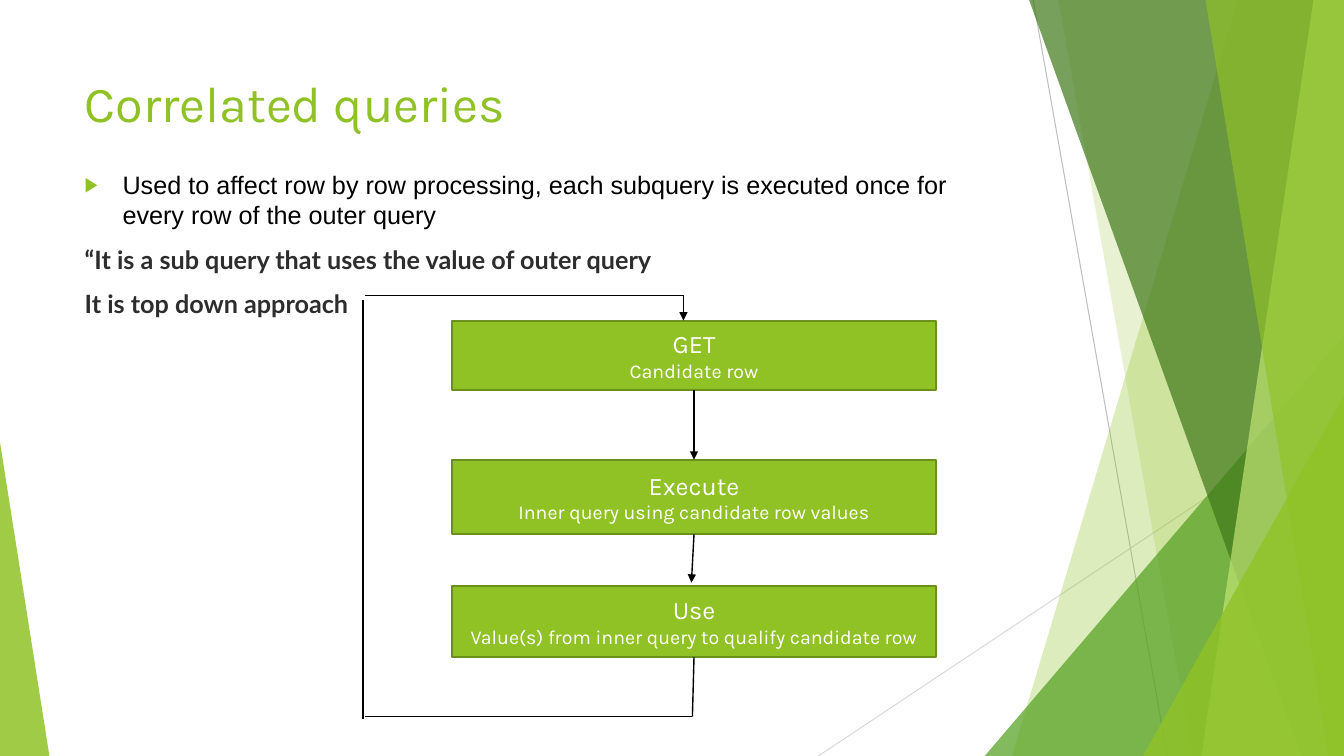
from lxml.etree import SubElement
from pptx import Presentation
from pptx.dml.color import RGBColor
from pptx.enum.shapes import MSO_CONNECTOR, MSO_SHAPE
from pptx.enum.text import MSO_ANCHOR, MSO_AUTO_SIZE, PP_ALIGN
from pptx.oxml.ns import qn
from pptx.util import Pt


class Theme:
    lime, green, forest, pale = "90C226", "54A021", "3F7819", "C0E474"
    border, white, black, ink = "6B901C", "FFFFFF", "000000", "2D2D2D"
    ray_dark, ray_light = "BFBFBF", "D9D9D9"
    display, plain, strong = "Karla", "Arial", "Lato"
    title_size, text_size, detail_size = 36, 18, 14


def set_font(font, name, size, color, bold=False):
    font.name, font.size, font.bold = name, Pt(size), bold
    font.color.rgb = RGBColor.from_string(color)


def add_line(start, end, color=Theme.black, width=1, arrow=False):
    line = slide.shapes.add_connector(
        MSO_CONNECTOR.STRAIGHT, *[Pt(value) for value in (*start, *end)])
    line.line.color.rgb = RGBColor.from_string(color)
    line.line.width = Pt(width)
    if arrow:
        SubElement(line.line._get_or_add_ln(), qn("a:tailEnd"), type="triangle")
    SubElement(line._element.spPr, qn("a:effectLst"))
    return line


deck = Presentation()
deck.slide_width, deck.slide_height = Pt(960), Pt(540)
slide = deck.slides.add_slide(deck.slide_layouts[1])

# Background rays
add_line((738, 0), (833.8, 540), Theme.ray_dark, 0.75)
add_line((960, 290), (584.6, 540), Theme.ray_light, 0.75)

# Background facets: panels (top x, bottom x) reach the right edge,
# triangles (left, top, width, apex) stand on the bottom edge
facets = [
    ("panel", (884.2, 722.9), Theme.lime, 30),
    ("panel", (756, 851.8), Theme.lime, 20),
    ("triangle", (703.4, 239.8, 256.6, 1), Theme.green, 72),
    ("panel", (735.1, 929.5), Theme.forest, 70),
    ("panel", (938.2, 858.2), Theme.pale, 70),
    ("panel", (861.1, 949), Theme.lime, 65),
    ("triangle", (816.5, 283, 143.5, 1), Theme.lime, 80),
    ("triangle", (0, 316, 35.3, 0), Theme.lime, 85),
]
for kind, geometry, color, opacity in facets:
    if kind == "panel":
        top_x, bottom_x = geometry
        outline = slide.shapes.build_freeform(Pt(top_x), 0)
        outline.add_line_segments(
            [(Pt(x), Pt(y)) for x, y in ((960, 0), (960, 540), (bottom_x, 540))])
        facet = outline.convert_to_shape()
    else:
        left, top, width, apex = geometry
        facet = slide.shapes.add_shape(
            MSO_SHAPE.ISOSCELES_TRIANGLE, Pt(left), Pt(top), Pt(width), Pt(540 - top))
        facet.adjustments[0] = apex
    facet.shadow.inherit = False
    facet.line.fill.background()
    facet.fill.solid()
    facet.fill.fore_color.rgb = RGBColor.from_string(color)
    fill_color = facet._element.spPr.find(qn("a:solidFill"))[0]
    SubElement(fill_color, qn("a:alpha"), val=str(opacity * 1000))

# Title and body placeholders
title, body = slide.shapes.title, slide.placeholders[1]
for holder, top, height in ((title, 48.2, 103.7), (body, 117.4, 305.3)):
    holder.left, holder.top = Pt(53.3), Pt(top)
    holder.width, holder.height = Pt(676.8), Pt(height)
    holder.text_frame.vertical_anchor = MSO_ANCHOR.TOP
    holder.text_frame.auto_size = MSO_AUTO_SIZE.NONE
    holder.text_frame.word_wrap = True

title.text_frame.text = "Correlated queries"
heading = title.text_frame.paragraphs[0]
heading.alignment = PP_ALIGN.LEFT
set_font(heading.font, Theme.display, Theme.title_size, Theme.lime)

body.text_frame.text = "\n".join([
    "Used to affect row by row processing, each subquery is executed once for "
    "every row of the outer query",
    "“It is a sub query that uses the value of outer query",
    "It is top down approach",
])
for index, para in enumerate(body.text_frame.paragraphs):
    para.space_before = Pt(10)
    properties = para._p.get_or_add_pPr()
    if index == 0:
        set_font(para.font, Theme.plain, Theme.text_size, Theme.black)
        indent = Pt(27)
        properties.set("marL", str(indent))
        properties.set("indent", str(-indent))
        bullet = [
            SubElement(SubElement(properties, qn("a:buClr")), qn("a:srgbClr"), val=Theme.lime),
            SubElement(properties, qn("a:buSzPct"), val="80000"),
            SubElement(properties, qn("a:buFont"), typeface=Theme.plain),
            SubElement(properties, qn("a:buChar"), char="▶"),
        ]
    else:
        set_font(para.font, Theme.strong, Theme.text_size, Theme.ink, bold=True)
        properties.set("marL", "0")
        properties.set("indent", "0")
        SubElement(properties, qn("a:buNone"))
    # Default run properties close the paragraph properties
    properties.append(properties.find(qn("a:defRPr")))

# Step boxes
steps = [
    (229, 49.7, "GET", "Candidate row"),
    (328.3, 53.3, "Execute", "Inner query using candidate row values"),
    (418.3, 51.1, "Use", "Value(s) from inner query to qualify candidate row"),
]
boxes = []
for top, height, name, detail in steps:
    box = slide.shapes.add_shape(
        MSO_SHAPE.RECTANGLE, Pt(322.6), Pt(top), Pt(346.3), Pt(height))
    box.shadow.inherit = False
    box.fill.solid()
    box.fill.fore_color.rgb = RGBColor.from_string(Theme.lime)
    box.line.color.rgb = RGBColor.from_string(Theme.border)
    box.line.width = Pt(1.5)
    frame = box.text_frame
    frame.word_wrap = True
    frame.vertical_anchor = MSO_ANCHOR.MIDDLE
    frame.text = f"{name}\n{detail}"
    for para, size in zip(frame.paragraphs, (Theme.text_size, Theme.detail_size)):
        para.alignment = PP_ALIGN.CENTER
        set_font(para.font, Theme.display, size, Theme.white)
    boxes.append(box)
get_box, execute_box, use_box = boxes

# Arrows between the steps
get_to_execute = add_line((495.7, 278.7), (495.7, 328.3), arrow=True)
get_to_execute.begin_connect(get_box, 2)
get_to_execute.end_connect(execute_box, 0)
execute_to_use = add_line((495.7, 381.6), (493.9, 416.2), arrow=True)
execute_to_use.begin_connect(execute_box, 2)

# Loop from the last step back to the first
loop_start = add_line((495.7, 469.4), (494.6, 511.9))
loop_start.begin_connect(use_box, 2)
add_line((494.6, 511.9), (260.6, 511.9))
add_line((259.2, 513.4), (259.2, 214.6))
add_line((260.6, 211), (488.2, 211))
add_line((488.2, 211), (488.2, 229), arrow=True)

deck.save("out.pptx")
